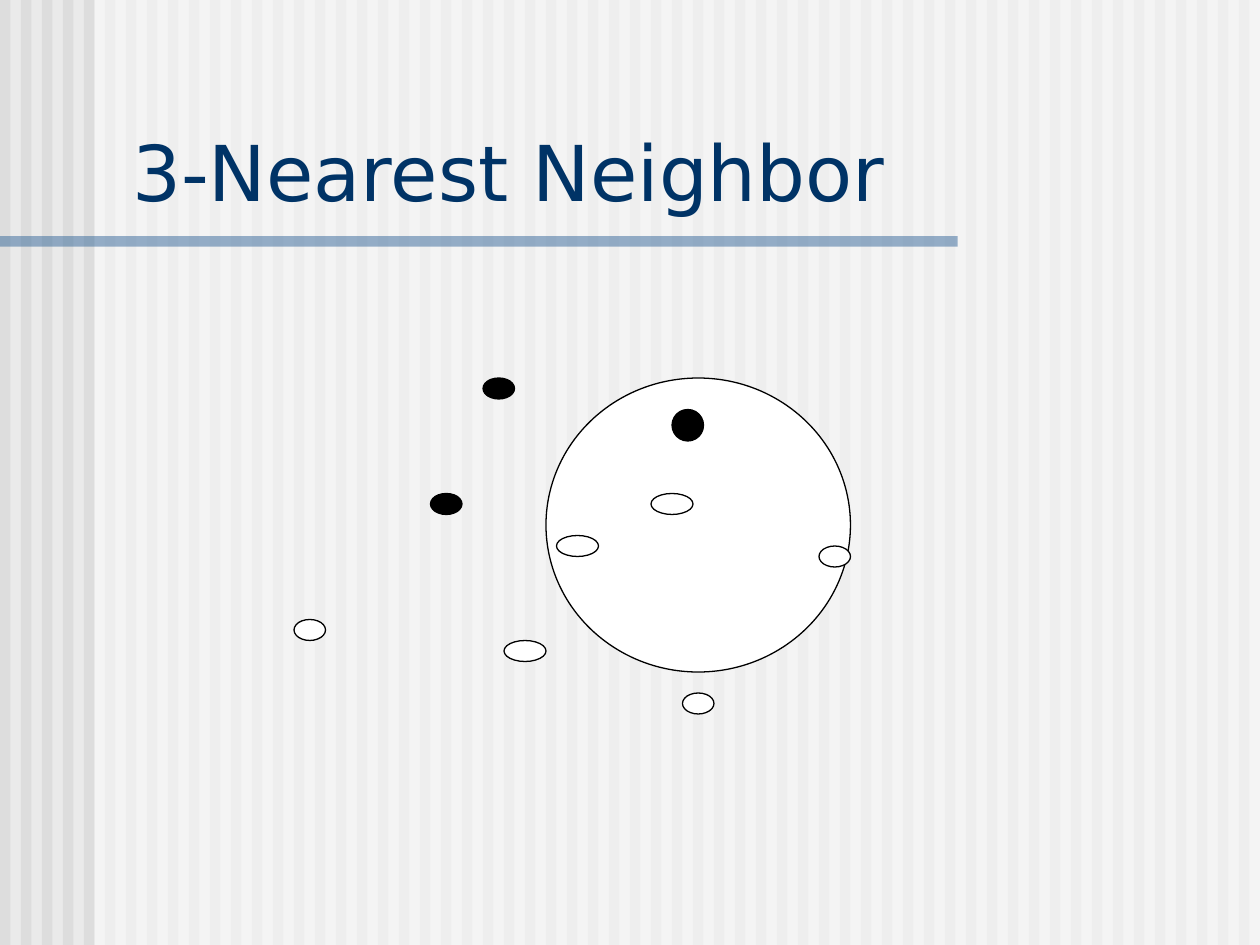
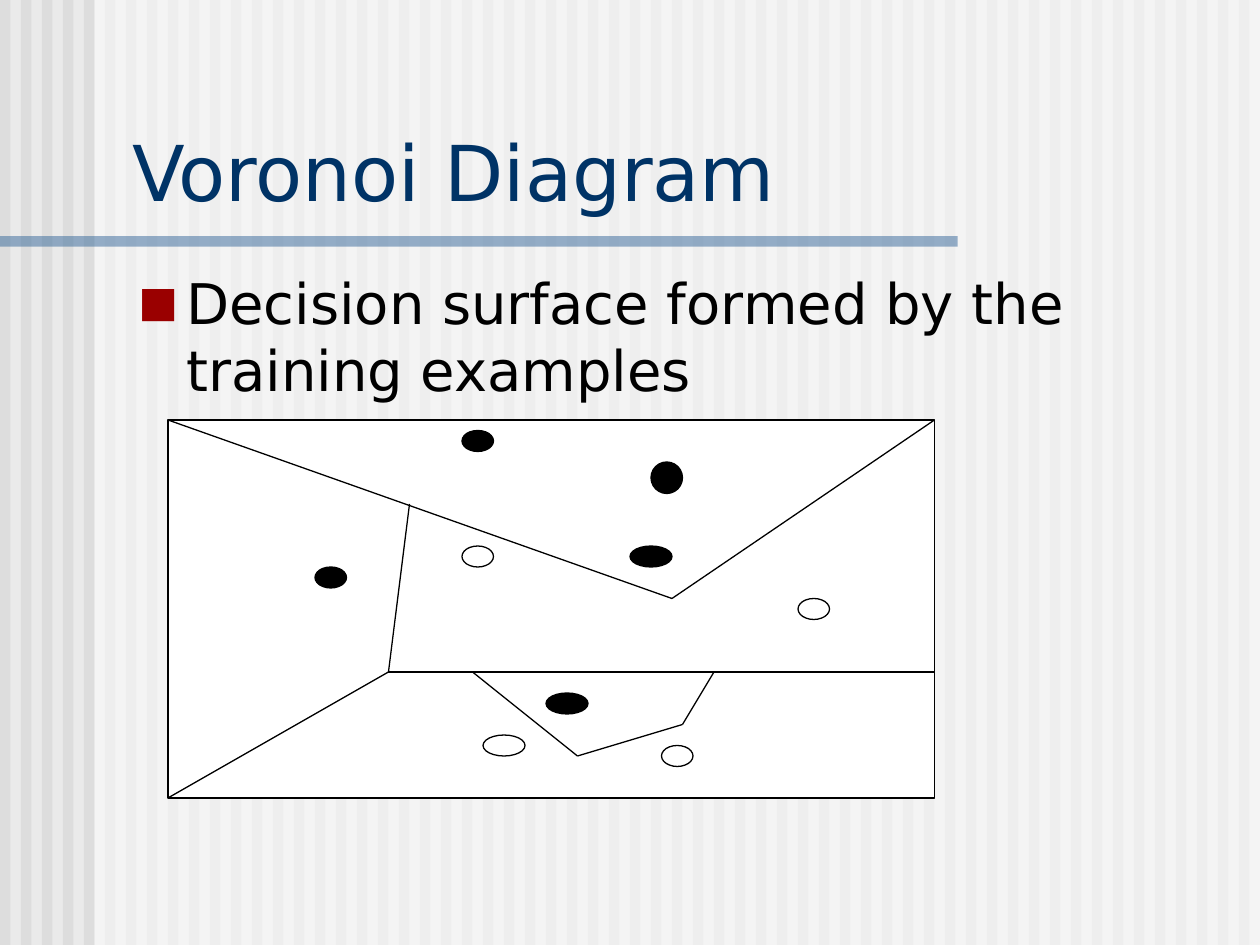
"""Build two nearest-neighbor slides on a grid of twelve cells to the inch."""
from itertools import pairwise

from lxml import etree
from pptx import Presentation
from pptx.dml.color import RGBColor
from pptx.enum.shapes import MSO_CONNECTOR, MSO_SHAPE
from pptx.enum.text import MSO_ANCHOR
from pptx.oxml.ns import qn
from pptx.util import Inches, Pt

RECTANGLE, OVAL = MSO_SHAPE.RECTANGLE, MSO_SHAPE.OVAL
STRAIGHT = MSO_CONNECTOR.STRAIGHT
TOP, BOTTOM = MSO_ANCHOR.TOP, MSO_ANCHOR.BOTTOM

COLUMNS, ROWS, CELLS_PER_INCH = 120, 90, 12

THEME = {
    "paper": "EAEAEA", "stripe": "DDDDDD", "veil": "FFFFFF", "rule": "336699",
    "title": "003366", "body": "000000", "bullet": "9A0000",
    "black": "000000", "white": "FFFFFF", "outline": "000000",
    "font": "DejaVu Sans", "title_size": 44, "body_size": 32, "line_width": 0.75,
    "veil_alpha": 50, "bullet_size": 75, "bullet_indent": 0.38, "bullet_space": 8,
}

TITLE_AREA = (11.4, 11.25, 107.2, 10)
BODY_AREA = (12, 25, 106.4, 55)
VEIL_AREA = (9, 0, COLUMNS - 9, ROWS)
RULE_AREA = (0, 22.5, 91.2, 1)

SLIDES = [
    {
        "title": "3-Nearest Neighbor",
        "bullets": [],
        "region": (OVAL, (52, 36, 29, 28)),
        "black": [(41, 47, 3, 2), (46, 36, 3, 2), (64, 39, 3, 3)],
        "white": [(62, 47, 4, 2), (78, 52, 3, 2), (28, 59, 3, 2),
                  (65, 66, 3, 2), (48, 61, 4, 2), (53, 51, 4, 2)],
        "boundaries": [],
    },
    {
        "title": "Voronoi Diagram",
        "bullets": ["Decision surface formed by the training examples"],
        "region": (RECTANGLE, (16, 40, 73, 36)),
        "black": [(30, 54, 3, 2), (44, 41, 3, 2), (62, 44, 3, 3),
                  (60, 52, 4, 2), (52, 66, 4, 2)],
        "white": [(46, 70, 4, 2), (76, 57, 3, 2), (44, 52, 3, 2), (63, 71, 3, 2)],
        "boundaries": [
            [(16, 40), (64, 57), (89, 40)],
            [(39, 48), (37, 64), (16, 76)],
            [(37, 64), (89, 64)],
            [(45, 64), (55, 72), (65, 69), (68, 64)],
        ],
    },
]


def cells(values):
    """Turn grid cells into slide lengths."""
    return [Inches(value / CELLS_PER_INCH) for value in values]


def color(role):
    """Look up a theme colour."""
    return RGBColor.from_string(THEME[role])


def apply(target, formats):
    """Set each named attribute on the target."""
    for name, value in formats.items():
        setattr(target, name, value)


def outline(line):
    """Give a line the shared thin black stroke."""
    line.color.rgb = color("outline")
    line.width = Pt(THEME["line_width"])


def add_figure(page, kind, area, role, outlined=False, alpha=None):
    """Add a filled preset shape, optionally outlined or see-through."""
    figure = page.shapes.add_shape(kind, *cells(area))
    figure.shadow.inherit = False
    figure.fill.solid()
    figure.fill.fore_color.rgb = color(role)
    if alpha is not None:
        tone = figure.fill._xPr.find(".//" + qn("a:srgbClr"))
        etree.SubElement(tone, qn("a:alpha"), val=str(alpha * 1000))
    if outlined:
        outline(figure.line)
    else:
        figure.line.fill.background()


def add_text(page, area, texts, role, anchor):
    """Add a wrapped text box and return its paragraphs."""
    frame = page.shapes.add_textbox(*cells(area)).text_frame
    apply(frame, {"word_wrap": True, "vertical_anchor": anchor, "text": "\n".join(texts)})
    for para in frame.paragraphs:
        for span in para.runs:
            apply(span.font, {"name": THEME["font"], "size": Pt(THEME[role + "_size"])})
            span.font.color.rgb = color(role)
    return frame.paragraphs


def add_bullet(para):
    """Give a paragraph the square bullet and hanging indent."""
    para.space_before = Pt(THEME["bullet_space"])
    properties = para._p.get_or_add_pPr()
    indent = Inches(THEME["bullet_indent"])
    properties.set("marL", str(indent))
    properties.set("indent", str(-indent))
    tone = etree.SubElement(properties, qn("a:buClr"))
    etree.SubElement(tone, qn("a:srgbClr"), val=THEME["bullet"])
    etree.SubElement(properties, qn("a:buSzPct"), val=str(THEME["bullet_size"] * 1000))
    etree.SubElement(properties, qn("a:buFont"), typeface=THEME["font"])
    etree.SubElement(properties, qn("a:buChar"), char="■")


def add_boundary(page, points):
    """Join successive points with straight lines."""
    for start, end in pairwise(points):
        edge = page.shapes.add_connector(STRAIGHT, *cells(start + end))
        outline(edge.line)
        etree.SubElement(edge._element.spPr, qn("a:effectLst"))


def add_backdrop(page):
    """Draw the stripes, the veil and the rule under the title."""
    for column in range(0, COLUMNS, 2):
        add_figure(page, RECTANGLE, (column, 0, 1, ROWS), "stripe")
    for area, role in ((VEIL_AREA, "veil"), (RULE_AREA, "rule")):
        add_figure(page, RECTANGLE, area, role, alpha=THEME["veil_alpha"])


def add_page(deck, content):
    """Build one slide from its content."""
    page = deck.slides.add_slide(deck.slide_layouts[6])
    add_backdrop(page)
    kind, area = content["region"]
    add_figure(page, kind, area, "white", outlined=True)
    add_text(page, TITLE_AREA, [content["title"]], "title", BOTTOM)
    if content["bullets"]:
        for para in add_text(page, BODY_AREA, content["bullets"], "body", TOP):
            add_bullet(para)
    for points in content["boundaries"]:
        add_boundary(page, points)
    for role in ("black", "white"):
        for dot in content[role]:
            add_figure(page, OVAL, dot, role, outlined=True)


def main():
    """Create and save the deck."""
    deck = Presentation()
    deck.slide_width, deck.slide_height = cells((COLUMNS, ROWS))
    paper = deck.slide_master.background.fill
    paper.solid()
    paper.fore_color.rgb = color("paper")
    for content in SLIDES:
        add_page(deck, content)
    deck.save("out.pptx")


if __name__ == "__main__":
    main()
